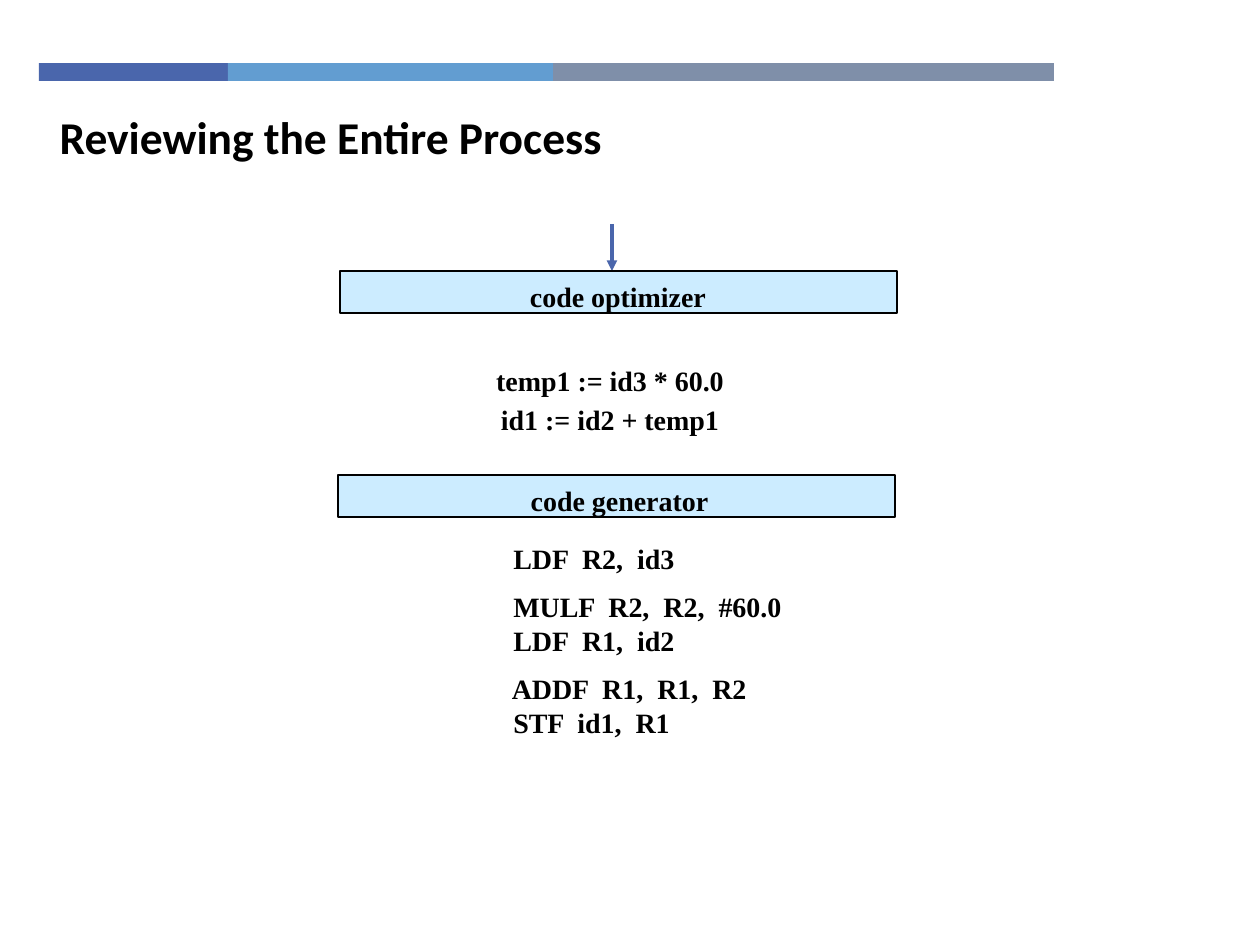
"""Build the slide on code optimization and code generation in a compiler."""
from lxml import etree
from pptx import Presentation, util as u
from pptx.dml.color import RGBColor
from pptx.enum import shapes, text
from pptx.oxml.ns import qn

PX = 914400 // 126


def rgb(color):
    return RGBColor.from_string(color)


def add_rect(left, top, width, height, color):
    rect = slide.shapes.add_shape(
        shapes.MSO_SHAPE.RECTANGLE, left * PX, top * PX, width * PX, height * PX)
    rect.shadow.inherit = False
    rect.fill.solid()
    rect.fill.fore_color.rgb = rgb(color)
    rect.line.fill.background()
    return rect


def add_code(left, top, width, height, lines, align):
    code = slide.shapes.add_textbox(left * PX, top * PX, width * PX, height * PX)
    frame = code.text_frame
    frame.word_wrap = True
    for i, line in enumerate(lines):
        paragraph = frame.paragraphs[0] if i == 0 else frame.add_paragraph()
        paragraph.text = line
        paragraph.alignment = align
        paragraph.space_before = u.Pt(8.5 if i else 0)
        for run in paragraph.runs:
            run.font.name = "Times New Roman"
            run.font.size = u.Pt(16)
            run.font.bold = True
            run.font.color.rgb = rgb("000000")
    return code


prs = Presentation()
prs.slide_width, prs.slide_height = u.Inches(10), u.Inches(7.5)
slide = prs.slides.add_slide(prs.slide_layouts[5])

band_left = 39
for band_width, band_color in ((189, "4A66AC"), (325, "629DD1"), (501, "7F8FA9")):
    add_rect(band_left, 63, band_width, 18, band_color)
    band_left += band_width

title = slide.shapes.title
title.left, title.top, title.width, title.height = 47 * PX, 102 * PX, 902 * PX, 68 * PX
title.text_frame.text = "Reviewing the Entire Process"
title.text_frame.auto_size = text.MSO_AUTO_SIZE.NONE
title.text_frame.vertical_anchor = text.MSO_ANCHOR.MIDDLE
heading = title.text_frame.paragraphs[0]
heading.alignment = text.PP_ALIGN.LEFT
heading_font = heading.runs[0].font
heading_font.name, heading_font.size, heading_font.bold = "Calibri", u.Pt(26), True
heading_font.color.rgb = rgb("000000")

arrow = slide.shapes.add_connector(
    shapes.MSO_CONNECTOR.STRAIGHT, 612 * PX, 224 * PX, 612 * PX, 271 * PX)
arrow.line.color.rgb = rgb("4A66AC")
arrow.line.width = u.Pt(2)
etree.SubElement(arrow.line._get_or_add_ln(), qn("a:tailEnd"), type="triangle")
etree.SubElement(arrow._element.spPr, qn("a:effectLst"))

for phase, left, top in (("code optimizer", 340, 271), (" code generator", 338, 475)):
    box = add_rect(left, top, 557, 42, "CCECFF")
    box.line.color.rgb = rgb("000000")
    box.line.width = u.Pt(0.75)
    label = add_code(left + 21, top + 2, 514, 46, [phase], text.PP_ALIGN.CENTER)
    slide.shapes.add_group_shape([box, label])

optimized = ["temp1 := id3 * 60.0", "id1 := id2 + temp1"]
optimized_code = add_code(379, 357, 462, 88, optimized, text.PP_ALIGN.CENTER)
optimized_code.text_frame.paragraphs[1].line_spacing = 0.7

assembly = [
    " LDF  R2,  id3",
    " MULF  R2,  R2,  #60.0\n LDF  R1,  id2",
    " ADDF  R1,  R1,  R2\n STF  id1,  R1",
]
add_code(494, 535, 349, 217, assembly, text.PP_ALIGN.LEFT)

prs.save("out.pptx")
